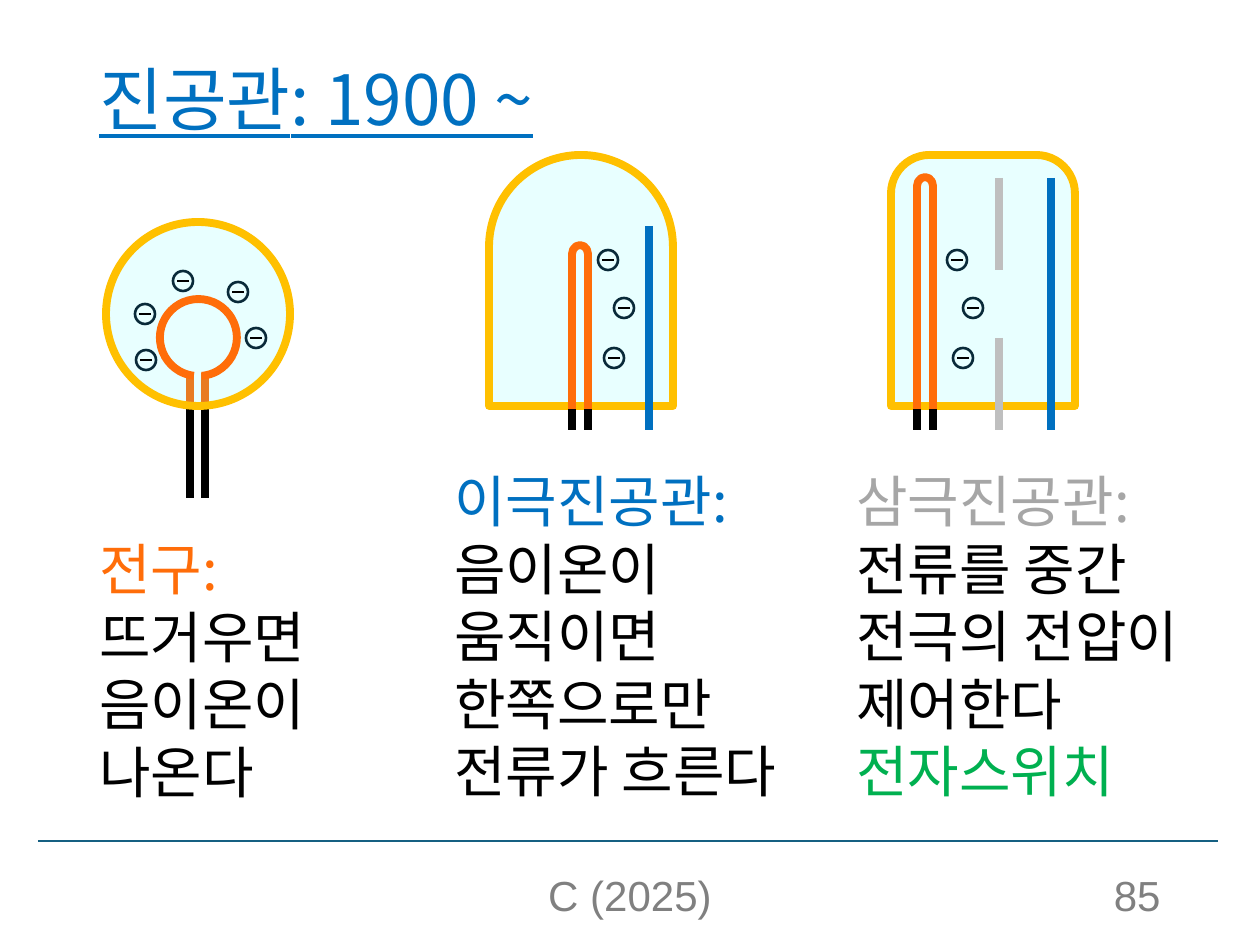
import pptx
import pptx.dml.color
import pptx.enum.shapes
import pptx.enum.text
import pptx.oxml.ns
import pptx.util
from lxml import etree

SCALE = 914400 / 126  # EMU in one px
KOREAN, LATIN = "Noto Sans CJK KR", "Arial"
BLACK, BLUE, ORANGE, GOLD = "000000", "0070C0", "FF6D09", "FFC000"
GLASS, GRID, NAVY, GRAY = "25FFFF", "BFBFBF", "092A39", "808080"
THICK, THIN = 4.5, 1.5
SHAPE = pptx.enum.shapes.MSO_SHAPE
ANCHOR = pptx.enum.text.MSO_ANCHOR
ALIGN = pptx.enum.text.PP_ALIGN


def px(*lengths):
    return [pptx.util.Emu(round(length * SCALE)) for length in lengths]


def color(hex_text):
    return pptx.dml.color.RGBColor.from_string(hex_text)


def apply(target, values):
    for name, value in values.items():
        setattr(target, name, value)


def add_child(parent, tag, **attributes):
    return etree.SubElement(parent, pptx.oxml.ns.qn(tag), attributes)


class Drawing:
    def __init__(self, page):
        self.page = page

    def line(self, start, end, hex_text, width=THICK, shapes=None):
        shapes = shapes or self.page.shapes
        connector = shapes.add_connector(
            pptx.enum.shapes.MSO_CONNECTOR.STRAIGHT, *px(*start, *end))
        connector.line.color.rgb = color(hex_text)
        connector.line.width = pptx.util.Pt(width)
        add_child(connector._element.spPr, "a:effectLst")

    def shape(self, kind, place, line, width=THICK, fill=None, alpha=10,
              adjust=(), rotation=0, shapes=None):
        shapes = shapes or self.page.shapes
        shape = shapes.add_shape(kind, *px(*place))
        shape.shadow.inherit = False
        shape.rotation = rotation
        for index, value in enumerate(adjust):
            shape.adjustments[index] = value
        shape.line.color.rgb = color(line)
        shape.line.width = pptx.util.Pt(width)
        if fill is None:
            shape.fill.background()
            return
        shape.fill.solid()
        shape.fill.fore_color.rgb = color(fill)
        fill_color = shape._element.spPr.find(".//" + pptx.oxml.ns.qn("a:srgbClr"))
        add_child(fill_color, "a:alpha", val=str(alpha * 1000))

    def text(self, place, rows, size, font=KOREAN, spacing=None, underline=None,
             anchor=ANCHOR.TOP, align=ALIGN.LEFT):
        frame = self.page.shapes.add_textbox(*px(*place)).text_frame
        apply(frame, {"word_wrap": True, "vertical_anchor": anchor})
        for index, (words, hex_text) in enumerate(rows):
            para = frame.add_paragraph() if index else frame.paragraphs[0]
            para.alignment = align
            if spacing:
                para.line_spacing = pptx.util.Pt(spacing)
            span = para.add_run()
            span.text = words
            apply(span.font, {"name": font, "size": pptx.util.Pt(size),
                              "underline": underline})
            span.font.color.rgb = color(hex_text)
            add_child(span._r.get_or_add_rPr(), "a:ea", typeface=font)

    def caption(self, place, rows):
        self.text(place, rows, 32, spacing=38.6)

    def wires(self, xs, top, bottom, hex_text):
        for x in xs:
            self.line((x, top), (x, bottom), hex_text)

    def tube(self, left, corner):
        self.shape(SHAPE.ROUND_2_SAME_RECTANGLE, (left, 155, 184, 251), GOLD,
                   fill=GLASS, adjust=(corner, 0))

    def filament(self, left, top):
        xs = (left, left + 16)
        self.wires(xs, 409, 430, BLACK)
        self.shape(SHAPE.ARC, (left - 1, top, 18, 16), ORANGE,
                   adjust=(163.07, 55.44), rotation=270)
        self.wires(xs, top + 7, 409, ORANGE)

    def electrons(self, centers):
        for x, y in centers:
            shapes = self.page.shapes.add_group_shape().shapes
            self.line((x + 6, y), (x - 6, y), BLACK, THIN, shapes)
            self.shape(SHAPE.OVAL, (x - 10, y - 10, 20, 20), NAVY, THIN, shapes=shapes)


def main():
    deck = pptx.Presentation()
    deck.slide_width, deck.slide_height = px(1260, 945)
    page = deck.slides.add_slide(deck.slide_layouts[6])
    draw = Drawing(page)

    # Title and footer
    draw.text((87, 50, 1173, 93), [("진공관: 1900 ~", BLUE)], 39.6, spacing=49,
              underline=True, anchor=ANCHOR.MIDDLE)
    draw.line((38, 841), (1218, 841), "156082", THIN)
    for place, words, align in (((417, 876, 426, 50), "C (2025)", ALIGN.CENTER),
                                ((890, 876, 283, 50), "85", ALIGN.RIGHT)):
        draw.text(place, [(words, GRAY)], 24, LATIN, anchor=ANCHOR.BOTTOM, align=align)

    # Light bulb
    bulb_wires = (190, 205)
    draw.wires(bulb_wires, 406, 498, BLACK)
    draw.wires(bulb_wires, 373, 407, ORANGE)
    draw.shape(SHAPE.OVAL, (106, 222, 184, 184), GOLD, fill=GLASS)
    draw.shape(SHAPE.ARC, (160, 299, 77, 77), ORANGE,
               adjust=(112.09, 104.94), rotation=270)
    draw.electrons([(256, 338), (238, 292), (183, 281), (145, 314), (146, 360)])
    draw.caption((87, 528, 271, 285), [
        ("전구:", ORANGE), ("뜨거우면", BLACK), ("음이온이", BLACK), ("나온다", BLACK)])

    # Diode tube
    tube_electrons = [(608, 260), (624, 308), (614, 358)]
    draw.tube(489, 0.5)
    draw.filament(572, 246)
    draw.line((649, 226), (649, 430), BLUE)
    draw.electrons(tube_electrons)
    draw.caption((442, 460, 384, 352), [
        ("이극진공관:", BLUE), ("음이온이", BLACK), ("움직이면", BLACK),
        ("한쪽으로만", BLACK), ("전류가 흐른다", BLACK)])

    # Triode tube
    draw.tube(891, 0.21)
    draw.filament(917, 178)
    draw.line((1051, 178), (1051, 430), BLUE)
    draw.electrons([(x + 349, y) for x, y in tube_electrons])
    for top, bottom in ((178, 270), (338, 430)):
        draw.line((999, top), (999, bottom), GRID)
    draw.caption((844, 460, 384, 352), [
        ("삼극진공관:", "A6A6A6"), ("전류를 중간", BLACK), ("전극의 전압이", BLACK),
        ("제어한다", BLACK), ("전자스위치", "00B050")])

    deck.save("out.pptx")


if __name__ == "__main__":
    main()
